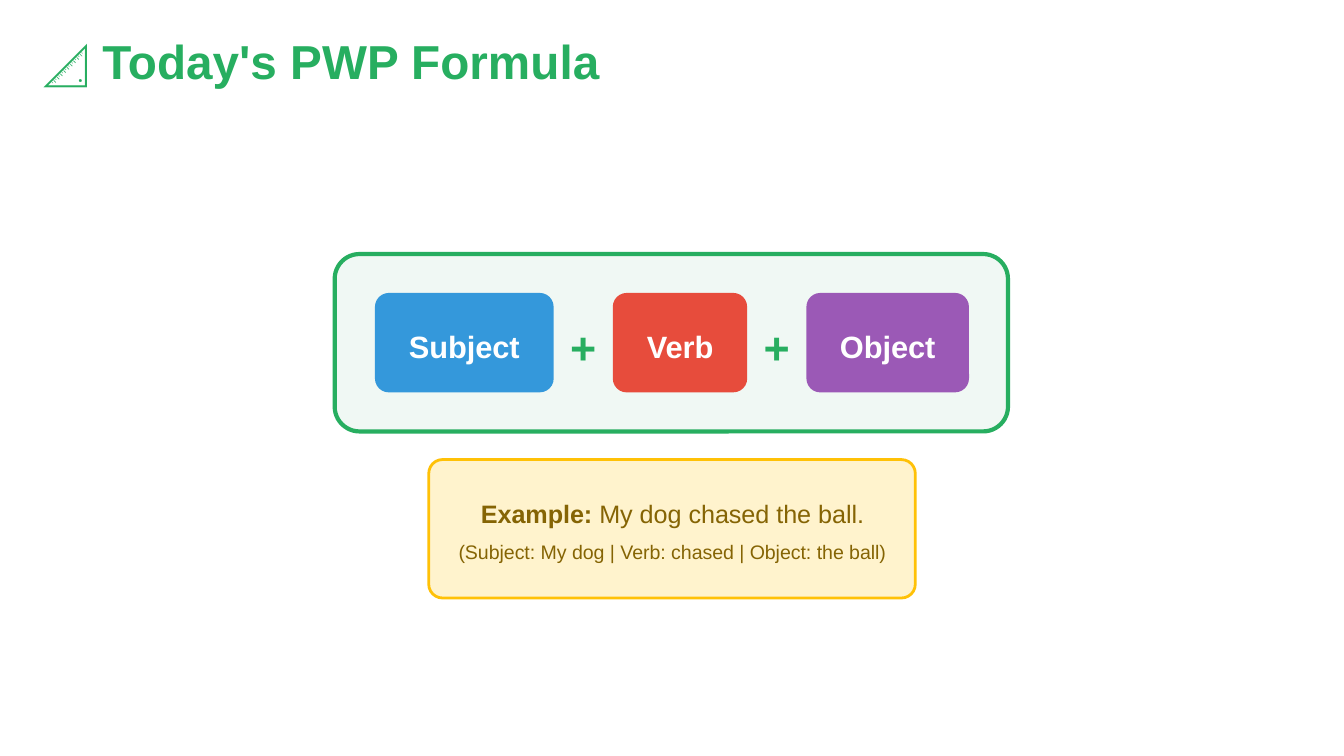
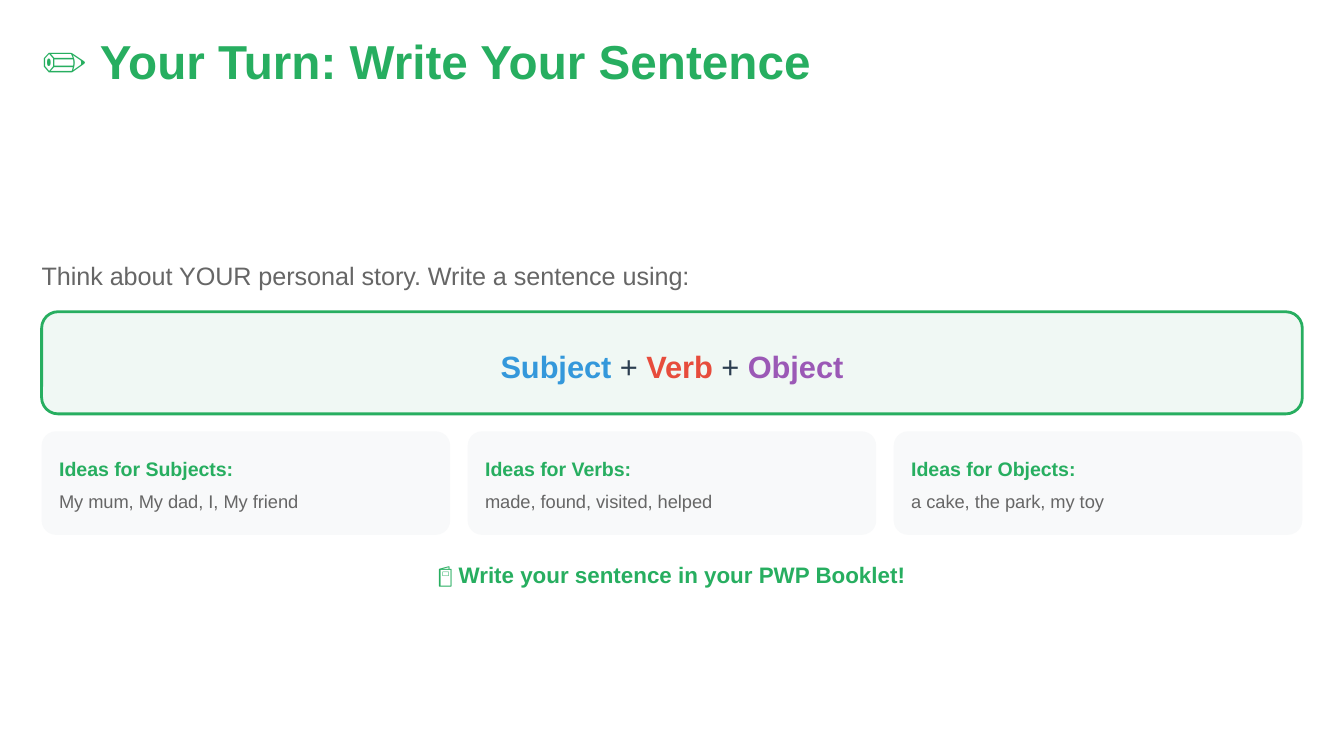
from pptx import Presentation
from pptx.dml.color import RGBColor as RGB
from pptx.enum.shapes import MSO_SHAPE as Shape
from pptx.enum.text import MSO_ANCHOR as Anchor, PP_ALIGN as Align
from pptx.util import Inches, Pt

# Colours and font
FONT = "Arial"
GREEN = RGB(0x27, 0xAE, 0x60)
MINT = RGB(0xF0, 0xF8, 0xF4)
BLUE = RGB(0x34, 0x98, 0xDB)
RED = RGB(0xE7, 0x4C, 0x3C)
PURPLE = RGB(0x9B, 0x59, 0xB6)
WHITE = RGB(0xFF, 0xFF, 0xFF)
CREAM = RGB(0xFF, 0xF3, 0xCD)
AMBER = RGB(0xFF, 0xC1, 0x07)
BROWN = RGB(0x85, 0x64, 0x04)
GREY = RGB(0x66, 0x66, 0x66)
PALE = RGB(0xF8, 0xF9, 0xFA)
NAVY = RGB(0x2C, 0x3E, 0x50)

# Content
TITLES = ["📐 Today's PWP Formula", "✏️ Your Turn: Write Your Sentence"]
PARTS = [("Subject", BLUE, 1.33), ("Verb", RED, 1.0), ("Object", PURPLE, 1.21)]
EXAMPLE = [("Example:", BROWN, True), (" My dog chased the ball.", BROWN, False)]
DETAIL = "(Subject: My dog | Verb: chased | Object: the ball)"
PROMPT = "Think about YOUR personal story. Write a sentence using:"
IDEAS = [
    ("Ideas for Subjects:", "My mum, My dad, I, My friend"),
    ("Ideas for Verbs:", "made, found, visited, helped"),
    ("Ideas for Objects:", "a cake, the park, my toy"),
]
TASK = "📓 Write your sentence in your PWP Booklet!"

# Shared measures
PAGE = 10  # slide width; the slide is 16:9
LEFT, WIDE = 0.31, 9.38
LEAD = 1.4  # line height as a multiple of the text size


def add_text(slide, box, runs, size, align=Align.CENTER, lead=LEAD):
    """Place one line of (text, colour, bold) runs."""
    frame = slide.shapes.add_textbox(*map(Inches, box)).text_frame
    frame.word_wrap = True
    frame.vertical_anchor = Anchor.TOP
    frame.margin_left = frame.margin_right = 0
    frame.margin_top = frame.margin_bottom = 0
    para = frame.paragraphs[0]
    para.alignment = align
    para.line_spacing = Pt(size * lead)
    for text, color, bold in runs:
        run = para.add_run()
        run.text = text
        font = run.font
        font.name, font.size, font.bold = FONT, Pt(size), bold
        font.color.rgb = color


def add_card(slide, box, fill, radius, line=None, weight=1.5):
    """Place a rounded panel; radius is a share of its height."""
    card = slide.shapes.add_shape(Shape.ROUNDED_RECTANGLE, *map(Inches, box))
    card.shadow.inherit = False
    card.adjustments[0] = radius
    card.fill.solid()
    card.fill.fore_color.rgb = fill
    if line is None:
        card.line.fill.background()
    else:
        card.line.color.rgb = line
        card.line.width = Pt(weight)


def add_slide(deck, title, width):
    slide = deck.slides.add_slide(deck.slide_layouts[6])
    slide.background.fill.solid()
    slide.background.fill.fore_color.rgb = WHITE
    add_text(slide, (LEFT, 0.31, width, 0.35), [(title, GREEN, True)],
             25.5, Align.LEFT, 1)
    return slide


def draw_formula(deck):
    slide = add_slide(deck, TITLES[0], 4.79)

    # Formula: chips joined by plus signs
    add_card(slide, (2.49, 1.89, 5.01, 1.32), MINT, 0.14, GREEN, 2.25)
    gap, plus, pad = 0.12, 0.2, 0.24
    x = 2.79
    for i, (word, color, width) in enumerate(PARTS):
        if i:
            add_text(slide, (x + gap, 2.31, plus, 0.47), [("+", GREEN, True)], 24)
            x += plus + 2 * gap
        add_card(slide, (x, 2.18, width, 0.74), color, 0.14)
        add_text(slide, (x + pad, 2.39, width - 2 * pad, 0.32),
                 [(word, WHITE, True)], 16.5)
        x += width

    # Example
    add_card(slide, (3.19, 3.42, 3.62, 1.03), CREAM, 0.1, AMBER)
    add_text(slide, (3.37, 3.67, 3.27, 0.26), EXAMPLE, 13.5)
    add_text(slide, (3.37, 3.99, 3.27, 0.2), [(DETAIL, BROWN, False)], 10.5)


def draw_turn(deck):
    slide = add_slide(deck, TITLES[1], 5.94)
    add_text(slide, (LEFT, 1.9, 9.56, 0.26), [(PROMPT, GREY, False)],
             13.5, Align.LEFT)

    # Formula band
    runs = []
    for word, color, _ in PARTS:
        if runs:
            runs.append((" + ", NAVY, False))
        runs.append((word, color, True))
    add_card(slide, (LEFT, 2.32, WIDE, 0.76), MINT, 0.16, GREEN)
    add_text(slide, (0.4, 2.54, 9.2, 0.32), runs, 16.5)

    # Idea cards
    gap = pad = 0.13
    width = (WIDE - gap * (len(IDEAS) - 1)) / len(IDEAS)
    for i, (head, words) in enumerate(IDEAS):
        x = LEFT + i * (width + gap)
        add_card(slide, (x, 3.21, width, 0.77), PALE, 0.14)
        add_text(slide, (x + pad, 3.37, 2.85, 0.2), [(head, GREEN, True)],
                 10.5, Align.LEFT)
        add_text(slide, (x + pad, 3.62, 2.85, 0.19), [(words, GREY, False)],
                 9.75, Align.LEFT)

    # Closing task
    add_text(slide, (0.22, 4.14, 9.56, 0.23), [(TASK, GREEN, True)], 12)


def main():
    deck = Presentation()
    deck.slide_width = Inches(PAGE)
    deck.slide_height = Inches(PAGE * 9 / 16)
    draw_formula(deck)
    draw_turn(deck)
    deck.save("out.pptx")


if __name__ == "__main__":
    main()
